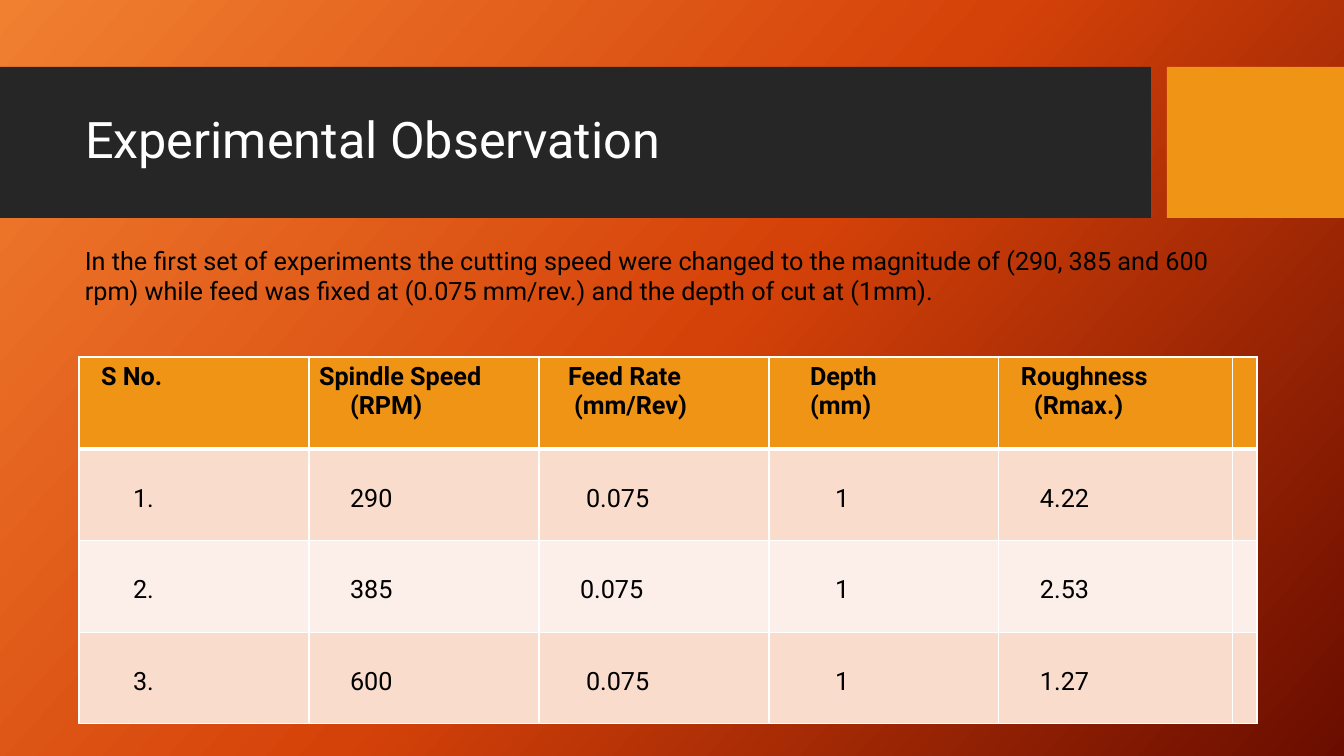
from copy import deepcopy

from pptx import Presentation
from pptx.dml.color import RGBColor
from pptx.enum.shapes import MSO_SHAPE
from pptx.enum.text import MSO_ANCHOR, PP_ALIGN
from pptx.oxml.ns import qn
from pptx.util import Pt
from lxml import etree

RECT = MSO_SHAPE.RECTANGLE
MIDDLE, TOP = MSO_ANCHOR.MIDDLE, MSO_ANCHOR.TOP
LEFT = PP_ALIGN.LEFT
TITLE_ONLY = 5
SCALE = 914400 / 100.8  # EMU in one px

COLORS = {
    "band": "262626", "gold": "F09415", "white": "FFFFFF", "black": "000000",
    "odd": "F9DCCC", "even": "FCEEE8",
    "start": "F18031", "mid": "D54209", "end": "6A0D00",
}
TEXT = {"name": "Roboto", "size": Pt(18), "bold": False}
HEAD = {**TEXT, "bold": True}
TITLE = {**TEXT, "size": Pt(36)}

INTRO = ("In the first set of experiments the cutting speed were changed to the "
         "magnitude of (290, 385 and 600 rpm) while feed was fixed at "
         "(0.075 mm/rev.) and the depth of cut at (1mm).")
WIDTHS = [230] * 4 + [234, 24]
# Each cell is a list of (line, indent in px)
HEADER = [
    [("S No.", 12)],
    [("Spindle Speed", 0), ("(RPM)", 31)],
    [("Feed Rate", 19), ("(mm/Rev)", 25)],
    [("Depth", 31), ("(mm)", 31)],
    [("Roughness", 12), ("(Rmax.)", 25)],
    [],
]
ROWS = [
    [[("1.", 44)], [("290", 31)], [("0.075", 37)], [("1", 56)], [("4.22", 31)], []],
    [[("2.", 44)], [("385", 31)], [("0.075", 31)], [("1", 56)], [("2.53", 31)], []],
    [[("3.", 44)], [("600", 31)], [("0.075", 37)], [("1", 56)], [("1.27", 31)], []],
]


def px(num):
    return round(num * SCALE)


def rgb(name):
    return RGBColor.from_string(COLORS[name])


def style(para, form, color):
    for key, value in form.items():
        setattr(para.font, key, value)
    para.font.color.rgb = rgb(color)


def paint(slide):
    fill = slide.background.fill
    fill.gradient()
    stops = slide._element.find(".//" + qn("a:gsLst"))
    stops.append(deepcopy(stops[0]))
    for stop, name, place in zip(fill.gradient_stops, ("start", "mid", "end"), (0, 0.5, 1)):
        stop.color.rgb = rgb(name)
        stop.position = place
    fill.gradient_angle = 360 - 42


def block(slide, box, color):
    shape = slide.shapes.add_shape(RECT, *map(px, box))
    shape.shadow.inherit = False
    shape.fill.solid()
    shape.fill.fore_color.rgb = rgb(color)
    shape.line.fill.background()


def heading(slide, box, text):
    title = slide.shapes.title
    title.left, title.top, title.width, title.height = map(px, box)
    # Bring the title in front of the bands
    slide.shapes._spTree.append(title._element)
    frame = title.text_frame
    frame.text = text
    frame.vertical_anchor = MIDDLE
    para = frame.paragraphs[0]
    para.alignment = LEFT
    para.line_spacing = 0.9
    style(para, TITLE, "white")


def note(slide, box, text):
    frame = slide.shapes.add_textbox(*map(px, box)).text_frame
    frame.word_wrap = True
    frame.text = text
    style(frame.paragraphs[0], TEXT, "black")


def border(cell, sides):
    props = cell._tc.get_or_add_tcPr()
    for side, width in sides.items():
        line = etree.SubElement(props, qn("a:ln" + side), w=str(Pt(width)))
        solid = etree.SubElement(line, qn("a:solidFill"))
        etree.SubElement(solid, qn("a:srgbClr"), val=COLORS["white"])


def write(cell, lines, form):
    frame = cell.text_frame
    frame.text = "\n".join(text for text, _ in lines)
    for para, (_, indent) in zip(frame.paragraphs, lines):
        para._p.get_or_add_pPr().set("marL", str(px(indent)))
        style(para, form, "black")


def grid(slide, box):
    rows = [HEADER] + ROWS
    table = slide.shapes.add_table(len(rows), len(WIDTHS), *map(px, box)).table
    for col, width in zip(table.columns, WIDTHS):
        col.width = px(width)
    for r, row in enumerate(rows):
        color = "gold" if r == 0 else "odd" if r % 2 else "even"
        for c, lines in enumerate(row):
            cell = table.cell(r, c)
            border(cell, {"L": 1, "R": 1, "T": 3 if r == 1 else 1, "B": 3 if r == 0 else 1})
            cell.fill.solid()
            cell.fill.fore_color.rgb = rgb(color)
            cell.vertical_anchor = TOP
            # Values sit one line below the cell top
            cell.margin_top = px(35 if r else 5)
            write(cell, lines, TEXT if r else HEAD)


def main():
    deck = Presentation()
    deck.slide_width, deck.slide_height = px(1344), px(756)
    slide = deck.slides.add_slide(deck.slide_layouts[TITLE_ONLY])

    # Background and title band
    paint(slide)
    block(slide, (0, 67, 1151, 151), "band")
    block(slide, (1167, 67, 177, 151), "gold")
    heading(slide, (75, 83, 1059, 119), "Experimental Observation")

    # Table and its introduction
    grid(slide, (79, 357, sum(WIDTHS), 367))
    note(slide, (75, 240, 1195, 72), INTRO)

    deck.save("out.pptx")


if __name__ == "__main__":
    main()
